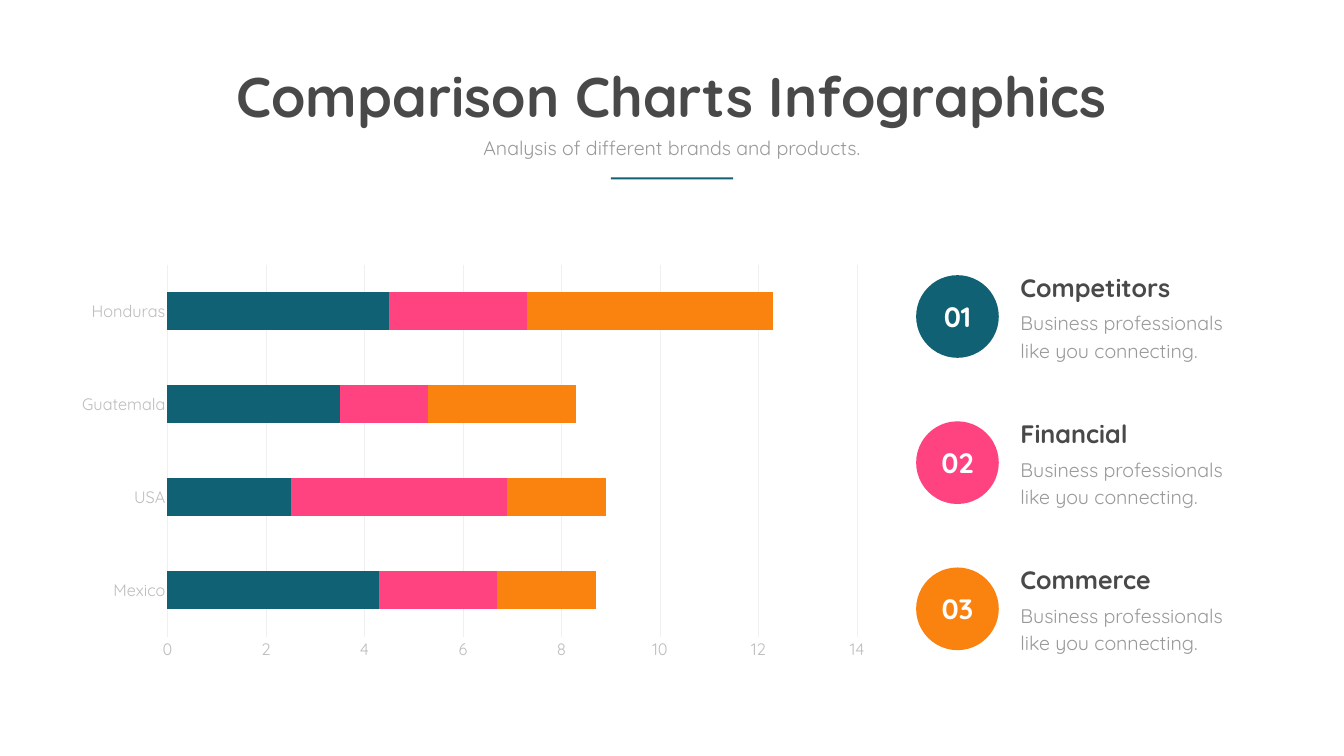
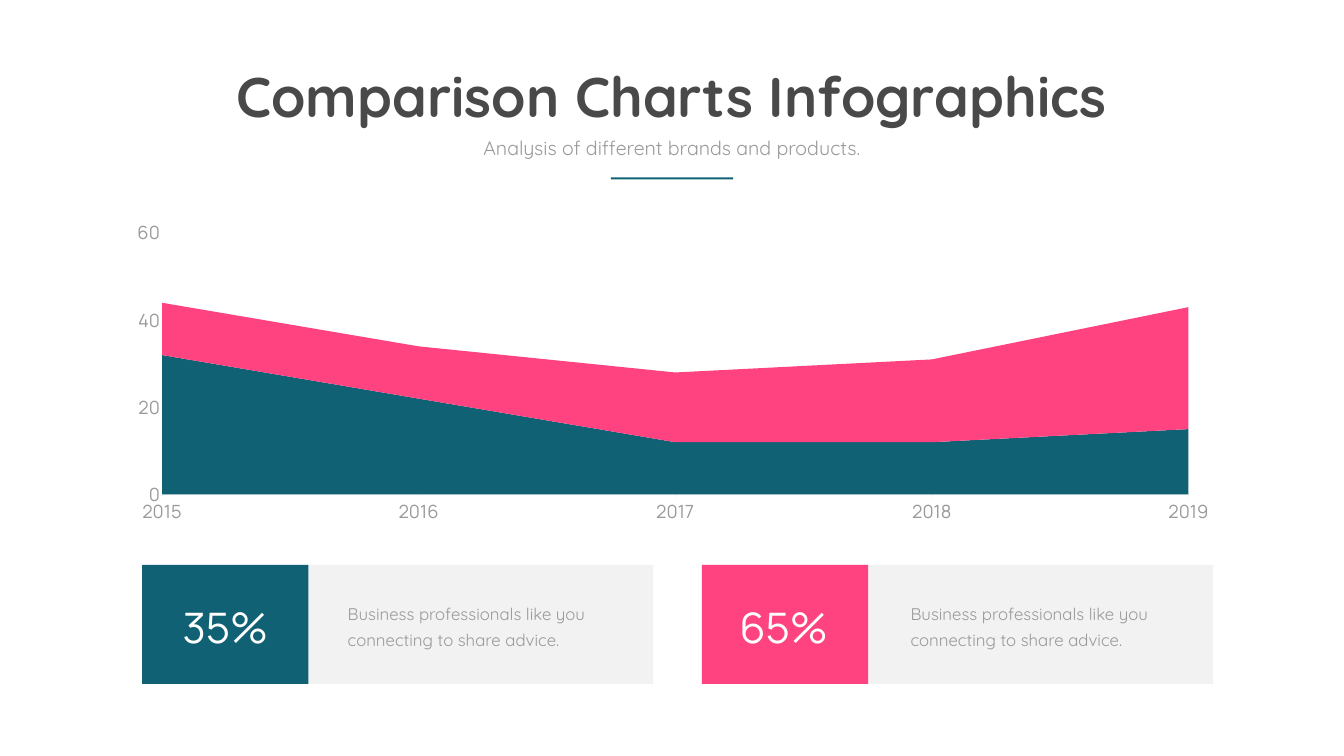
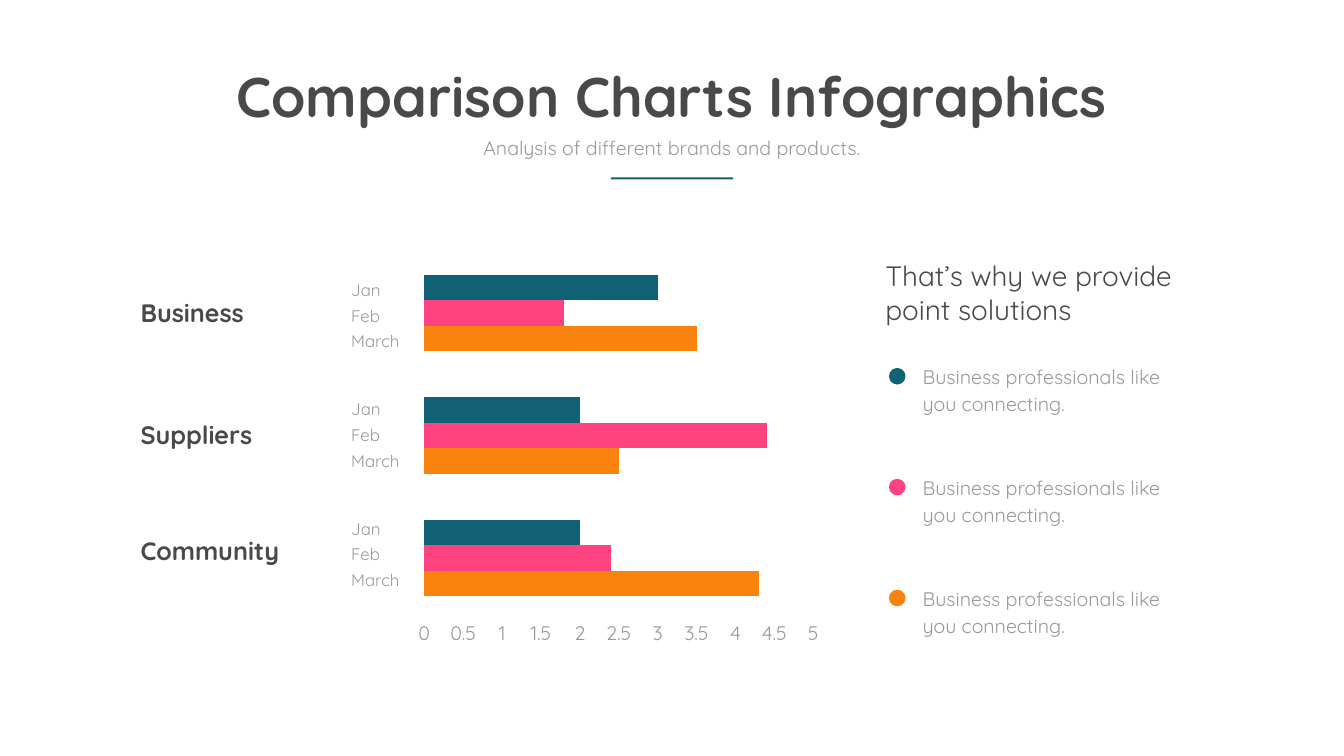
from dataclasses import dataclass

import pptx
import pptx.chart.data
import pptx.dml.color
import pptx.enum.chart
import pptx.enum.shapes
import pptx.enum.text
import pptx.oxml
import pptx.oxml.ns
import pptx.util
from pptx.util import Inches

ALIGN = pptx.enum.text.PP_ALIGN
ANCHOR = pptx.enum.text.MSO_ANCHOR
CHART = pptx.enum.chart.XL_CHART_TYPE
SHAPE = pptx.enum.shapes.MSO_SHAPE
TICK = pptx.enum.chart.XL_TICK_MARK


@dataclass(frozen=True)
class Theme:
    teal: str = "116175"
    pink: str = "FF4381"
    orange: str = "FA820F"
    dark: str = "494949"
    grey: str = "999999"
    pale: str = "BDBDBD"
    rule: str = "F0F0F0"
    panel: str = "F2F2F2"
    white: str = "FFFFFF"
    font: str = "Quicksand"
    alt_font: str = "Manrope"
    title: int = 80
    percent: int = 60
    lead: int = 40
    heading: int = 36
    body: int = 28
    axis: int = 26
    small: int = 24
    body_spacing: float = 38.6
    small_spacing: float = 36.6


THEME = Theme()
ACCENTS = (THEME.teal, THEME.pink, THEME.orange)
ADVICE = "Business professionals like you connecting."


def rgb(color):
    return pptx.dml.color.RGBColor.from_string(color)


class Deck:
    def __init__(self, theme):
        self.theme = theme
        self.presentation = pptx.Presentation()
        self.presentation.slide_width = Inches(26.67)
        self.presentation.slide_height = Inches(15)
        self.slide = None

    def start_slide(self):
        """Add a slide with the shared title, subtitle and rule."""
        t = self.theme
        self.slide = self.presentation.slides.add_slide(self.presentation.slide_layouts[6])
        background = self.slide.background.fill
        background.solid()
        background.fore_color.rgb = rgb(t.white)
        self.text((4.47, 1.17, 17.71, 1.45), "Comparison Charts Infographics", t.title,
                  t.dark, bold=True, align=ALIGN.CENTER, wrap=False)
        self.text((8.55, 2.65, 9.56, 0.57), "Analysis of different brands and products.",
                  t.body, align=ALIGN.CENTER)
        self.shape((12.12, 3.52, 2.43, 0.04), t.teal)

    def style_font(self, font, size, color, name=None, bold=False):
        font.name = name or self.theme.font
        font.size = pptx.util.Pt(size)
        font.color.rgb = rgb(color)
        font.bold = bold

    def text(self, box, content, size, color=None, bold=False, align=ALIGN.LEFT,
             spacing=None, font=None, wrap=True):
        """Add a text box; each line of the content is a paragraph."""
        frame = self.slide.shapes.add_textbox(*map(Inches, box)).text_frame
        frame.word_wrap = wrap
        frame.auto_size = pptx.enum.text.MSO_AUTO_SIZE.SHAPE_TO_FIT_TEXT
        for index, line in enumerate(content.split("\n")):
            paragraph = frame.add_paragraph() if index else frame.paragraphs[0]
            paragraph.alignment = align
            if spacing:
                paragraph.line_spacing = pptx.util.Pt(spacing)
            run = paragraph.add_run()
            run.text = line
            self.style_font(run.font, size, color or self.theme.grey, font, bold)

    def heading(self, box, content):
        self.text(box, content, self.theme.heading, self.theme.dark, bold=True)

    def body(self, box, content):
        self.text(box, content, self.theme.body, spacing=self.theme.body_spacing)

    def small(self, box, content):
        self.text(box, content, self.theme.small, spacing=self.theme.small_spacing)

    def shape(self, box, color, kind=SHAPE.RECTANGLE, label=None):
        shape = self.slide.shapes.add_shape(kind, *map(Inches, box))
        shape.shadow.inherit = False
        shape.fill.solid()
        shape.fill.fore_color.rgb = rgb(color)
        shape.line.fill.background()
        if label:
            shape.text_frame.vertical_anchor = ANCHOR.MIDDLE
            paragraph = shape.text_frame.paragraphs[0]
            paragraph.alignment = ALIGN.CENTER
            run = paragraph.add_run()
            run.text = label
            self.style_font(run.font, self.theme.lead, self.theme.white, bold=True)

    def chart(self, box, kind, categories, series, plot_area, maximum, step):
        """Add a chart; series pairs values with a colour, plot_area is x, y, w, h as shares."""
        data = pptx.chart.data.CategoryChartData()
        data.categories = categories
        for number, (values, _) in enumerate(series, 1):
            data.add_series(f"Series {number}", values)
        chart = self.slide.shapes.add_chart(kind, *map(Inches, box), data).chart
        chart.has_title = chart.has_legend = False
        self.style_font(chart.font, self.theme.axis, self.theme.grey, self.theme.alt_font)
        for plotted, (_, color) in zip(chart.plots[0].series, series):
            plotted.format.fill.solid()
            plotted.format.fill.fore_color.rgb = rgb(color)
        chart.plots[0].vary_by_categories = False
        values = chart.value_axis
        values.minimum_scale, values.maximum_scale, values.major_unit = 0, maximum, step
        values.has_major_gridlines = False
        values.format.line.fill.background()
        values.tick_labels.number_format = "General"
        values.tick_labels.number_format_is_linked = False
        for axis in (values, chart.category_axis):
            axis.major_tick_mark = axis.minor_tick_mark = TICK.NONE
        chart.category_axis.has_major_gridlines = False
        self.thin_line(chart.category_axis.format.line)
        self.place_plot(chart, plot_area)
        return chart

    def thin_line(self, line):
        line.color.rgb = rgb(self.theme.rule)
        line.width = pptx.util.Pt(0.75)

    def place_plot(self, chart, shares):
        plot_area = chart.plots[0]._element.getparent()
        for old in plot_area.findall(pptx.oxml.ns.qn("c:layout")):
            plot_area.remove(old)
        sizes = "".join(f'<c:{tag} val="{share}"/>' for tag, share in zip("xywh", shares))
        plot_area.insert(0, pptx.oxml.parse_xml(
            f'<c:layout {pptx.oxml.ns.nsdecls("c")}><c:manualLayout>'
            '<c:layoutTarget val="inner"/><c:xMode val="edge"/><c:yMode val="edge"/>'
            f'{sizes}</c:manualLayout></c:layout>'))


def country_slide(deck):
    t = deck.theme
    deck.start_slide()
    values = ((4.3, 2.5, 3.5, 4.5), (2.4, 4.4, 1.8, 2.8), (2, 2, 3, 5))
    chart = deck.chart((1.63, 4.58, 15.84, 8.5), CHART.BAR_STACKED,
                       ("Mexico", "USA", "Guatemala", "Honduras"),
                       list(zip(values, ACCENTS)), (0.08, 0.08, 0.89, 0.88), 14, 2)
    chart.plots[0].gap_width = 150
    chart.plots[0].overlap = 100
    for axis in (chart.value_axis, chart.category_axis):
        deck.style_font(axis.tick_labels.font, t.small, t.pale)
    deck.thin_line(chart.value_axis.major_gridlines.format.line)

    for row, (topic, color) in enumerate(zip(("Competitors", "Financial", "Commerce"), ACCENTS)):
        top = 5.35 + 2.9 * row
        deck.shape((18.18, top + 0.11, 1.64, 1.64), color, SHAPE.OVAL, f"{row + 1:02}")
        deck.body((20.15, top + 0.71, 4.52, 1.18), ADVICE)
        deck.heading((20.15, top, 4.89, 0.71), topic)


def trend_slide(deck):
    t = deck.theme
    deck.start_slide()
    chart = deck.chart((2.33, 4.25, 22.14, 6.25), CHART.AREA_STACKED,
                       [str(year) for year in range(2015, 2020)],
                       [((32, 22, 12, 12, 15), t.teal), ((12, 12, 16, 19, 28), t.pink)],
                       (0.04, 0.06, 0.92, 0.83), 60, 20)
    chart.category_axis.major_tick_mark = TICK.OUTSIDE
    for axis in (chart.value_axis, chart.category_axis):
        deck.style_font(axis.tick_labels.font, t.axis, t.grey, t.alt_font)
    crossing = chart.value_axis._element.find(pptx.oxml.ns.qn("c:crossBetween"))
    crossing.set("val", "midCat")

    cards = (("35%", t.teal, 2.82, 3.49, 6.8), ("65%", t.pink, 13.93, 14.57, 17.97))
    for share, color, left, share_left, advice_left in cards:
        deck.shape((left, 11.21, 10.14, 2.36), t.panel)
        deck.shape((left, 11.21, 3.3, 2.36), color)
        deck.text((share_left, 11.88, 1.96, 1.11), share, t.percent, t.white,
                  align=ALIGN.CENTER, font=t.alt_font)
        deck.small((advice_left, 11.83, 5.45, 1.13),
                   "Business professionals like you connecting to share advice.")


def month_slide(deck):
    t = deck.theme
    deck.start_slide()
    values = ((4.3, 2.5, 3.5), (2.4, 4.4, 1.8), (2, 2, 3))
    chart = deck.chart((8.17, 4.83, 8.3, 8.11), CHART.BAR_CLUSTERED, ("1", "2", "3"),
                       list(zip(values, reversed(ACCENTS))), (0.03, 0.02, 0.93, 0.9), 5, 0.5)
    chart.plots[0].gap_width = 182
    chart.plots[0].overlap = 0
    chart.category_axis.visible = False
    deck.style_font(chart.value_axis.tick_labels.font, t.body, t.grey)

    groups = (("Business", 5.84), ("Suppliers", 8.27), ("Community", 10.57))
    for row, (group, top) in enumerate(groups):
        deck.small((6.87, 5.39 + 2.37 * row, 5.45, 1.6), "Jan\nFeb\nMarch")
        deck.heading((2.69, top, 3.99, 0.71), group)

    deck.text((17.47, 5.08, 6.5, 1.45), "That’s why we provide point solutions", t.lead, t.dark)
    for row, color in enumerate(ACCENTS):
        top = 7.13 + 2.2 * row
        deck.shape((17.64, top + 0.17, 0.33, 0.33), color, SHAPE.OVAL)
        deck.body((18.21, top, 5.43, 1.15), ADVICE)


def main():
    deck = Deck(THEME)
    country_slide(deck)
    trend_slide(deck)
    month_slide(deck)
    deck.presentation.save("out.pptx")


if __name__ == "__main__":
    main()
